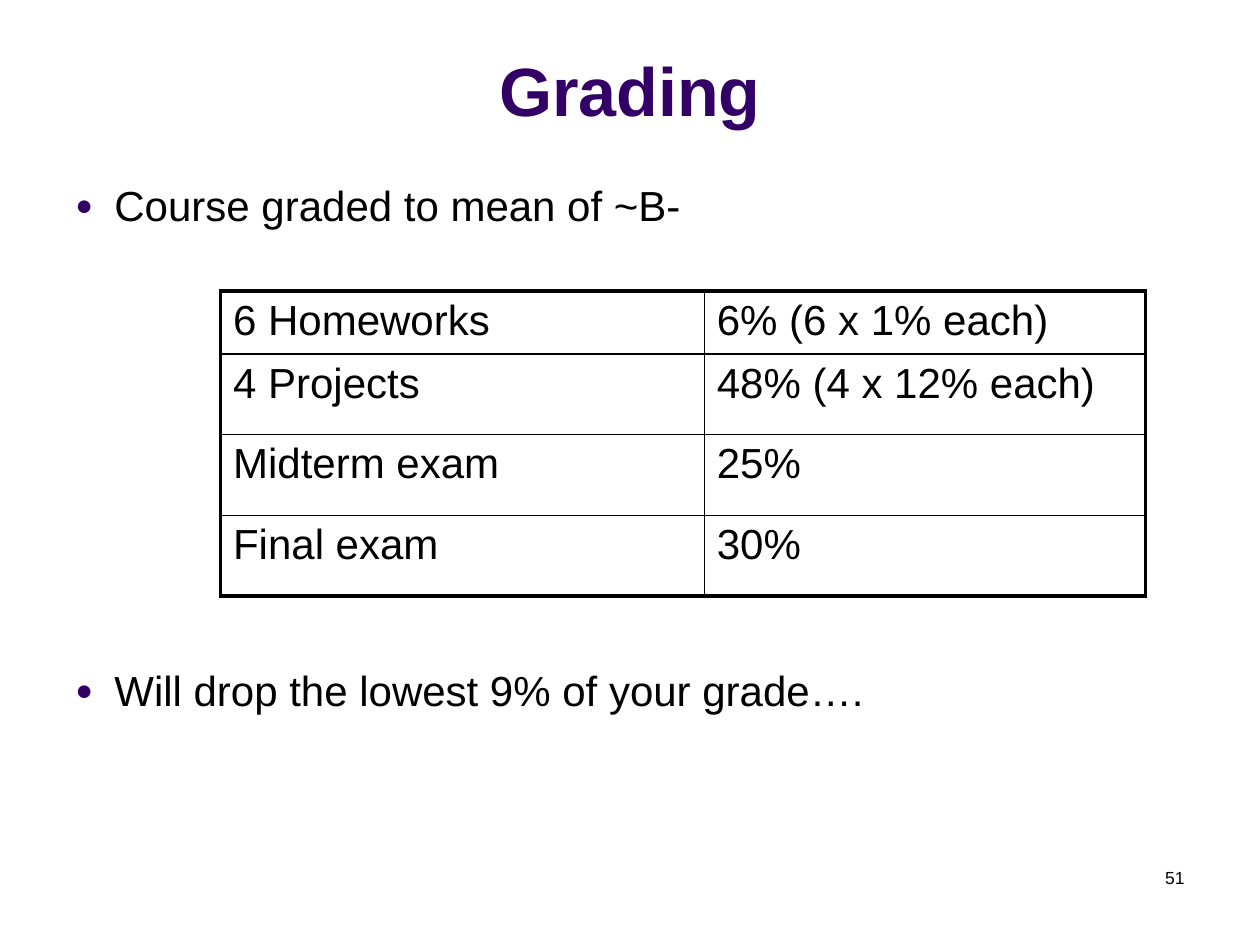
from lxml import etree
from pptx import Presentation
from pptx.dml.color import RGBColor
from pptx.enum.text import MSO_ANCHOR, PP_ALIGN
from pptx.oxml.ns import qn
from pptx.util import Inches, Pt

LEFT, CENTER, RIGHT = PP_ALIGN.LEFT, PP_ALIGN.CENTER, PP_ALIGN.RIGHT
TOP, BOTTOM = MSO_ANCHOR.TOP, MSO_ANCHOR.BOTTOM

COLORS = {"accent": "330066", "text": "000000"}
FONT = "Arial"
BODY_SIZE = 24
OUTER_LINE, INNER_LINE = 2.25, 1

GRADES = [
    ("6 Homeworks", "6% (6 x 1% each)"),
    ("4 Projects", "48% (4 x 12% each)"),
    ("Midterm exam", "25%"),
    ("Final exam", "30%"),
]


def write_text(paragraph, text, size=BODY_SIZE, color="text", bold=False, align=LEFT):
    paragraph.alignment = align
    run = paragraph.add_run()
    run.text = text
    run.font.name = FONT
    run.font.size = Pt(size)
    run.font.bold = bold
    run.font.color.rgb = RGBColor.from_string(COLORS[color])


def add_bullet(paragraph, indent=0.31):
    properties = paragraph._p.get_or_add_pPr()
    properties.set("marL", str(Inches(indent)))
    properties.set("indent", str(-Inches(indent)))
    bullet_color = etree.SubElement(properties, qn("a:buClr"))
    etree.SubElement(bullet_color, qn("a:srgbClr"), val=COLORS["accent"])
    etree.SubElement(properties, qn("a:buSzPct"), val="70000")
    etree.SubElement(properties, qn("a:buFont"), typeface=FONT)
    etree.SubElement(properties, qn("a:buChar"), char="●")


def set_borders(cell, widths):
    """Draw cell borders; widths are points in the order left, right, top, bottom."""
    properties = cell._tc.get_or_add_tcPr()
    for index, (side, width) in enumerate(zip(("lnL", "lnR", "lnT", "lnB"), widths)):
        line = etree.Element(qn(f"a:{side}"), w=str(Pt(width)))
        fill = etree.SubElement(line, qn("a:solidFill"))
        etree.SubElement(fill, qn("a:srgbClr"), val=COLORS["text"])
        properties.insert(index, line)


class SlideBuilder:
    def __init__(self, slide):
        self.slide = slide

    def text_frame(self, left, top, width, height, anchor=TOP):
        box = self.slide.shapes.add_textbox(
            Inches(left), Inches(top), Inches(width), Inches(height))
        box.text_frame.word_wrap = True
        box.text_frame.vertical_anchor = anchor
        return box.text_frame

    def label(self, text, left, top, width, height, anchor=TOP, **style):
        frame = self.text_frame(left, top, width, height, anchor)
        write_text(frame.paragraphs[0], text, **style)

    def bullets(self, items, left, top, width, height, gap):
        """Add a bulleted list with gap points between its items."""
        frame = self.text_frame(left, top, width, height)
        for index, text in enumerate(items):
            paragraph = frame.add_paragraph() if index else frame.paragraphs[0]
            add_bullet(paragraph)
            paragraph.line_spacing = 0.9
            paragraph.space_before = Pt(gap if index else 0)
            write_text(paragraph, text)

    def table(self, rows, left, top, column_widths, row_heights):
        table = self.slide.shapes.add_table(
            len(rows), len(column_widths), Inches(left), Inches(top),
            Inches(sum(column_widths)), Inches(sum(row_heights))).table
        table.first_row = table.horz_banding = False
        for column, width in zip(table.columns, column_widths):
            column.width = Inches(width)
        last_row, last_column = len(rows) - 1, len(column_widths) - 1
        for row_index, values in enumerate(rows):
            table.rows[row_index].height = Inches(row_heights[row_index])
            for column_index, text in enumerate(values):
                cell = table.cell(row_index, column_index)
                cell.fill.background()
                write_text(cell.text_frame.paragraphs[0], text)
                on_edge = (column_index == 0, column_index == last_column,
                           row_index == 0, row_index == last_row)
                set_borders(cell, [OUTER_LINE if edge else INNER_LINE for edge in on_edge])


def main():
    presentation = Presentation()
    presentation.slide_width, presentation.slide_height = Inches(10), Inches(7.5)
    builder = SlideBuilder(presentation.slides.add_slide(presentation.slide_layouts[6]))

    builder.label("Grading", 0, 0.13, 10, 0.95, anchor=BOTTOM,
                  size=39, color="accent", bold=True, align=CENTER)
    builder.bullets(
        ["Course graded to mean of ~B-", "Will drop the lowest 9% of your grade…."],
        0.5, 1.42, 9, 5.29, gap=251)
    builder.table(GRADES, 1.75, 2.31, [3.84, 3.5], [0.5] + [0.64] * 3)
    builder.label("51", 7.17, 6.83, 2.33, 0.5, size=10, align=RIGHT)

    presentation.save("out.pptx")


if __name__ == "__main__":
    main()
